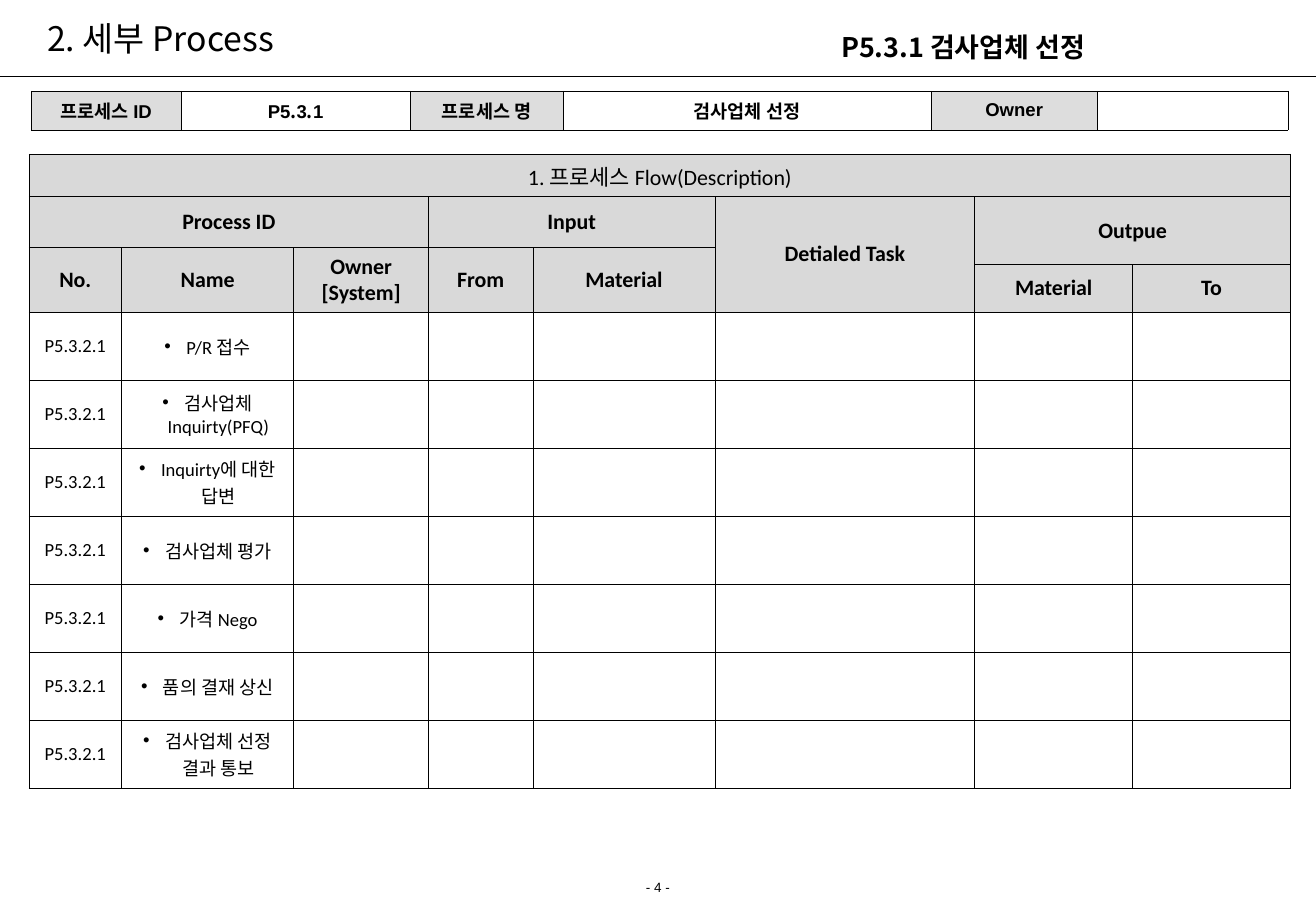
from lxml import etree
from pptx import Presentation
from pptx import util as u
from pptx.dml import color
from pptx.enum import shapes, text
from pptx.oxml import ns

KOREAN, ARIAL, CALIBRI = "Noto Sans CJK KR", "Arial", "Calibri"
COLORS = {"ink": "000000", "label": "DDDDDD", "heading": "D9D9D9"}
WIDTH, HEIGHT = 10.84, 7.5

TITLE = "2. 세부 Process"
PROCESS = "P5.3.1 검사업체 선정"
PAGE = "- 4 -"

SUMMARY_COLUMNS = [1.23, 1.89, 1.26, 3.03, 1.37, 1.57]
SUMMARY = [
    [("프로세스 ID", ARIAL)],
    [("P5", ARIAL), (".", KOREAN), ("3", ARIAL), (".", KOREAN), ("1", ARIAL)],
    [("프로세스 명", ARIAL)],
    [("검사업체 선정", ARIAL)],
    [("Owner", ARIAL)],
    [],
]

FLOW_COLUMNS = [0.76, 1.42, 1.11, 0.86, 1.5, 2.14, 1.3, 1.3]
HEADING_ROWS = [0.35, 0.42, 0.14, 0.39]
STEP_ROW = 0.56
FLOW_TITLE = "1. 프로세스 Flow(Description)"
HEADINGS = [
    (0, 0, 1, 8, [FLOW_TITLE]),
    (1, 0, 1, 3, ["Process ID"]),
    (1, 3, 1, 2, ["Input"]),
    (1, 5, 3, 1, ["Detialed Task"]),
    (1, 6, 2, 2, ["Outpue"]),
    (2, 0, 2, 1, ["No."]),
    (2, 1, 2, 1, ["Name"]),
    (2, 2, 2, 1, ["Owner", "[System]"]),
    (2, 3, 2, 1, ["From"]),
    (2, 4, 2, 1, ["Material"]),
    (3, 6, 1, 1, ["Material"]),
    (3, 7, 1, 1, ["To"]),
]
STEP_ID = "P5.3.2.1"
STEPS = [
    "P/R 접수",
    "검사업체 Inquirty(PFQ)",
    "Inquirty에 대한 답변",
    "검사업체 평가",
    "가격 Nego",
    "품의 결재 상신",
    "검사업체 선정 결과 통보",
]


def rgb(name):
    return color.RGBColor.from_string(COLORS[name])


def add_run(paragraph, words, font, size, bold=False):
    run = paragraph.add_run()
    run.text = words
    run.font.name, run.font.size, run.font.bold = font, u.Pt(size), bold
    run.font.color.rgb = rgb("ink")
    east_asian = etree.SubElement(run.font._element, ns.qn("a:ea"))
    east_asian.set("typeface", KOREAN)


def add_label(slide, box, words, font, size, bold=False, align=text.PP_ALIGN.LEFT,
              anchor=text.MSO_ANCHOR.TOP, spacing=1.0):
    frame = slide.shapes.add_textbox(*(u.Inches(v) for v in box)).text_frame
    frame.word_wrap, frame.vertical_anchor = True, anchor
    paragraph = frame.paragraphs[0]
    paragraph.alignment, paragraph.line_spacing = align, spacing
    add_run(paragraph, words, font, size, bold)


def add_bullet(paragraph):
    props = paragraph._p.get_or_add_pPr()
    props.set("marL", str(u.Inches(0.18)))
    props.set("indent", str(-u.Inches(0.18)))
    etree.SubElement(props, ns.qn("a:buFont")).set("typeface", ARIAL)
    etree.SubElement(props, ns.qn("a:buChar")).set("char", "•")


def style_cell(cell, fill=None):
    cell.vertical_anchor = text.MSO_ANCHOR.MIDDLE
    cell.margin_top = cell.margin_bottom = u.Inches(0.02)
    props = cell._tc.get_or_add_tcPr()
    for side in ("lnL", "lnR", "lnT", "lnB"):
        border = etree.SubElement(props, ns.qn("a:" + side), w=str(u.Pt(0.45)))
        ink = etree.SubElement(border, ns.qn("a:solidFill"))
        etree.SubElement(ink, ns.qn("a:srgbClr"), val=COLORS["ink"])
    if fill:
        cell.fill.solid()
        cell.fill.fore_color.rgb = rgb(fill)
    else:
        cell.fill.background()


def write_cell(cell, lines, size, bold=False, bullet=False, after=0):
    for index, runs in enumerate(lines):
        frame = cell.text_frame
        paragraph = frame.add_paragraph() if index else frame.paragraphs[0]
        paragraph.alignment = text.PP_ALIGN.CENTER
        if after:
            paragraph.space_after = u.Pt(after)
        if bullet:
            add_bullet(paragraph)
        for words, font in runs:
            add_run(paragraph, words, font, size, bold)


def add_grid(slide, left, top, columns, rows, fill_rule):
    frame = slide.shapes.add_table(
        len(rows), len(columns), u.Inches(left), u.Inches(top),
        u.Inches(sum(columns)), u.Inches(sum(rows)))
    grid = frame.table
    grid.first_row = grid.horz_banding = False
    for column, width in zip(grid.columns, columns):
        column.width = u.Inches(width)
    for row, height in zip(grid.rows, rows):
        row.height = u.Inches(height)
    for r in range(len(rows)):
        for c in range(len(columns)):
            cell = grid.cell(r, c)
            style_cell(cell, fill_rule(r, c))
            end = etree.SubElement(cell.text_frame.paragraphs[0]._p, ns.qn("a:endParaRPr"))
            end.set("sz", "1100")
    return grid


def add_header(slide):
    rule = slide.shapes.add_connector(
        shapes.MSO_CONNECTOR.STRAIGHT, 0, u.Inches(0.63), u.Inches(WIDTH), u.Inches(0.63))
    rule.line.color.rgb, rule.line.width = rgb("ink"), u.Pt(0.75)
    etree.SubElement(rule._element.spPr, ns.qn("a:effectLst"))
    add_label(slide, (0.29, 0.04, 6.85, 0.55), TITLE, KOREAN, 20,
              anchor=text.MSO_ANCHOR.MIDDLE)
    add_label(slide, (6.83, 0.2, 3.55, 0.37), PROCESS, KOREAN, 16, bold=True, spacing=1.01)


def add_summary(slide):
    grid = add_grid(slide, 0.26, 0.75, SUMMARY_COLUMNS, [0.32],
                    lambda r, c: None if c % 2 else "label")
    for c, runs in enumerate(SUMMARY):
        write_cell(grid.cell(0, c), [runs], 11, bold=True, after=4.1)


def add_flow(slide):
    first_step = len(HEADING_ROWS)
    grid = add_grid(slide, 0.24, 1.27, FLOW_COLUMNS, HEADING_ROWS + [STEP_ROW] * len(STEPS),
                    lambda r, c: "heading" if r < first_step else None)
    for r, c, high, wide, lines in HEADINGS:
        cell = grid.cell(r, c)
        if high * wide > 1:
            cell.merge(grid.cell(r + high - 1, c + wide - 1))
        write_cell(cell, [[(line, CALIBRI)] for line in lines], 13, bold=r > 0)
    for r, step in enumerate(STEPS, first_step):
        write_cell(grid.cell(r, 0), [[(STEP_ID, CALIBRI)]], 11)
        write_cell(grid.cell(r, 1), [[(step, CALIBRI)]], 11, bullet=True)


def main():
    deck = Presentation()
    deck.slide_width, deck.slide_height = u.Inches(WIDTH), u.Inches(HEIGHT)
    slide = deck.slides.add_slide(deck.slide_layouts[6])
    add_header(slide)
    add_summary(slide)
    add_flow(slide)
    add_label(slide, (0, 7.19, WIDTH, 0.24), PAGE, ARIAL, 8,
              align=text.PP_ALIGN.CENTER, spacing=1.01)
    deck.save("out.pptx")


if __name__ == "__main__":
    main()
